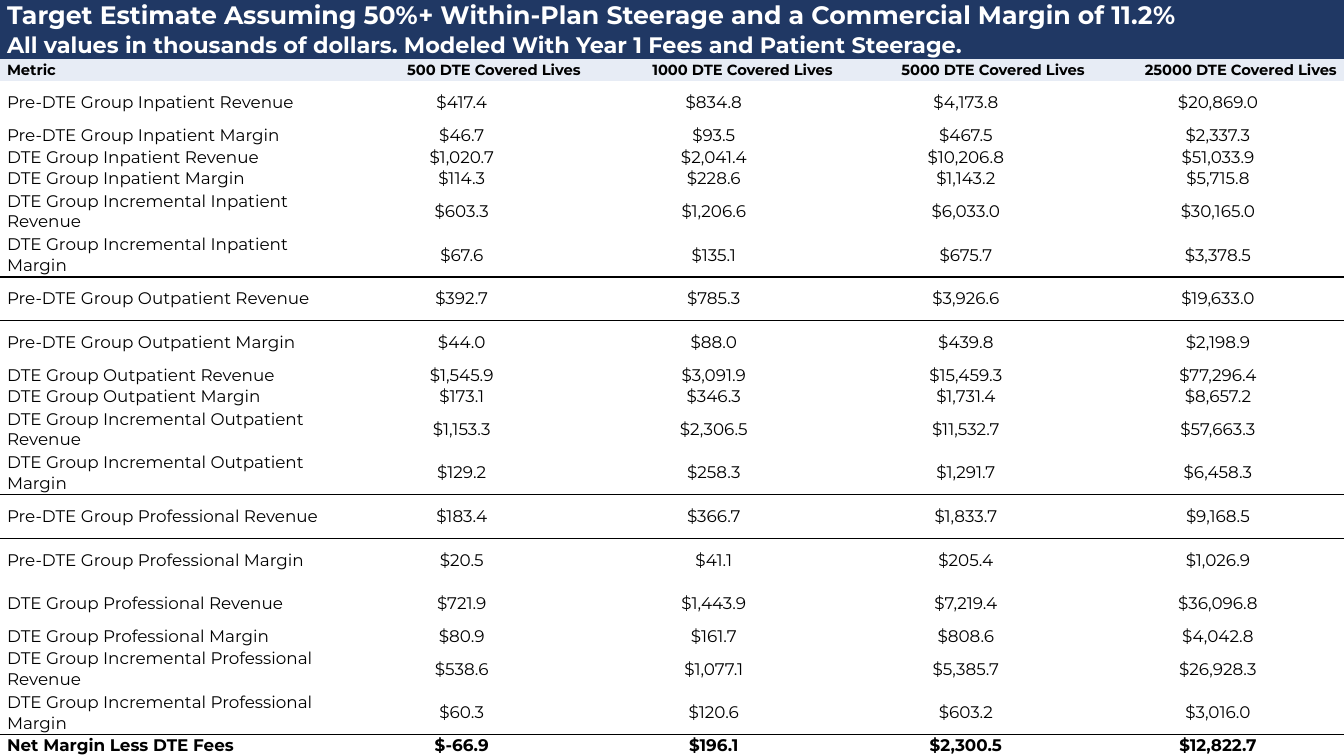
from lxml import etree
from pptx import Presentation
from pptx.dml.color import RGBColor
from pptx.enum import text
from pptx.oxml import ns
from pptx.util import Inches, Pt

COLORS = {"banner": "203864", "header": "E7ECF5", "white": "FFFFFF", "black": "000000"}
LEFT, CENTER, RIGHT = text.PP_ALIGN.LEFT, text.PP_ALIGN.CENTER, text.PP_ALIGN.RIGHT
NO_STYLE = "{2D5ABB26-0587-4C30-8999-92F81FD0307C}"

TITLES = [
    ("Target Estimate Assuming 50%+ Within-Plan Steerage and a Commercial Margin of 11.2%", 18),
    ("All values in thousands of dollars. Modeled With Year 1 Fees and Patient Steerage.", 16),
]
COVERED_LIVES = [500, 1000, 5000, 25000]
STAGES = ["Pre-DTE Group", "DTE Group", "DTE Group Incremental"]
# For each service: revenue and margin of each stage, by covered lives
SERVICES = {
    "Inpatient": [
        (417.4, 834.8, 4173.8, 20869.0),
        (46.7, 93.5, 467.5, 2337.3),
        (1020.7, 2041.4, 10206.8, 51033.9),
        (114.3, 228.6, 1143.2, 5715.8),
        (603.3, 1206.6, 6033.0, 30165.0),
        (67.6, 135.1, 675.7, 3378.5),
    ],
    "Outpatient": [
        (392.7, 785.3, 3926.6, 19633.0),
        (44.0, 88.0, 439.8, 2198.9),
        (1545.9, 3091.9, 15459.3, 77296.4),
        (173.1, 346.3, 1731.4, 8657.2),
        (1153.3, 2306.5, 11532.7, 57663.3),
        (129.2, 258.3, 1291.7, 6458.3),
    ],
    "Professional": [
        (183.4, 366.7, 1833.7, 9168.5),
        (20.5, 41.1, 205.4, 1026.9),
        (721.9, 1443.9, 7219.4, 36096.8),
        (80.9, 161.7, 808.6, 4042.8),
        (538.6, 1077.1, 5385.7, 26928.3),
        (60.3, 120.6, 603.2, 3016.0),
    ],
}
NET_MARGIN = (-66.9, 196.1, 2300.5, 12822.7)
SHORT_ROWS = {2, 4, 5, 6, 11, 12, 18, 21}
SECTION_ENDS = {8, 14, 20}


def fill_cell(cell, words, size, bold, align, color="black", fill=None):
    cell.margin_left = cell.margin_right = cell.margin_top = cell.margin_bottom = 0
    cell.vertical_anchor = text.MSO_ANCHOR.MIDDLE
    if fill:
        cell.fill.solid()
        cell.fill.fore_color.rgb = RGBColor.from_string(COLORS[fill])
    else:
        cell.fill.background()
    paragraph = cell.text_frame.paragraphs[0]
    paragraph.alignment = align
    paragraph.space_before = paragraph.space_after = Pt(0.1)
    properties = paragraph._p.get_or_add_pPr()
    for side in ("marL", "marR"):
        properties.set(side, str(Inches(0.07)))
    run = paragraph.add_run()
    run.text = words
    run.font.name = "Montserrat"
    run.font.size = Pt(size)
    run.font.bold = bold
    run.font.color.rgb = RGBColor.from_string(COLORS[color])


def add_border(cell, tag):
    """Draw a 1 pt black line on one side of the cell: a:lnT or a:lnB."""
    line = etree.Element(ns.qn(tag), w=str(Pt(1)))
    solid = etree.SubElement(line, ns.qn("a:solidFill"))
    etree.SubElement(solid, ns.qn("a:srgbClr"), val=COLORS["black"])
    cell._tc.get_or_add_tcPr().insert(0, line)


presentation = Presentation()
presentation.slide_width = Inches(13.33)
presentation.slide_height = Inches(7.5)
slide = presentation.slides.add_slide(presentation.slide_layouts[6])

frame = slide.shapes.add_table(22, 5, 0, 0, Inches(13.33), Inches(7.5))
table = frame.table
table.first_row = table.horz_banding = False
table._tbl.tblPr.find(ns.qn("a:tableStyleId")).text = NO_STYLE
for index, column in enumerate(table.columns):
    column.width = Inches(2.5 if index else 3.33)
for index, row in enumerate(table.rows):
    row.height = Inches(0.215 if index in SHORT_ROWS else 0.433)
table.rows[0].height = Inches(0.31)
table.rows[1].height = Inches(0.28)

# Banner
for row, (title, size) in enumerate(TITLES):
    table.cell(row, 0).merge(table.cell(row, 4))
    fill_cell(table.cell(row, 0), title, size, True, LEFT, "white", "banner")

# Column headings
headings = ["Metric"] + [f"{lives} DTE Covered Lives" for lives in COVERED_LIVES]
for column, heading in enumerate(headings):
    fill_cell(table.cell(2, column), heading, 10.5, True, RIGHT if column else LEFT, fill="header")

# Metrics
metrics = []
for service, amounts in SERVICES.items():
    names = [f"{stage} {service} {kind}" for stage in STAGES for kind in ("Revenue", "Margin")]
    metrics += zip(names, amounts)
metrics.append(("Net Margin Less DTE Fees", NET_MARGIN))

for row, (name, amounts) in enumerate(metrics, start=3):
    labels = [name] + [f"${amount:,.1f}" for amount in amounts]
    for column, label in enumerate(labels):
        cell = table.cell(row, column)
        fill_cell(cell, label, 12, row == 21, CENTER if column else LEFT)
        if row in SECTION_ENDS:
            add_border(cell, "a:lnB")
        if row - 1 in SECTION_ENDS:
            add_border(cell, "a:lnT")

presentation.save("out.pptx")
